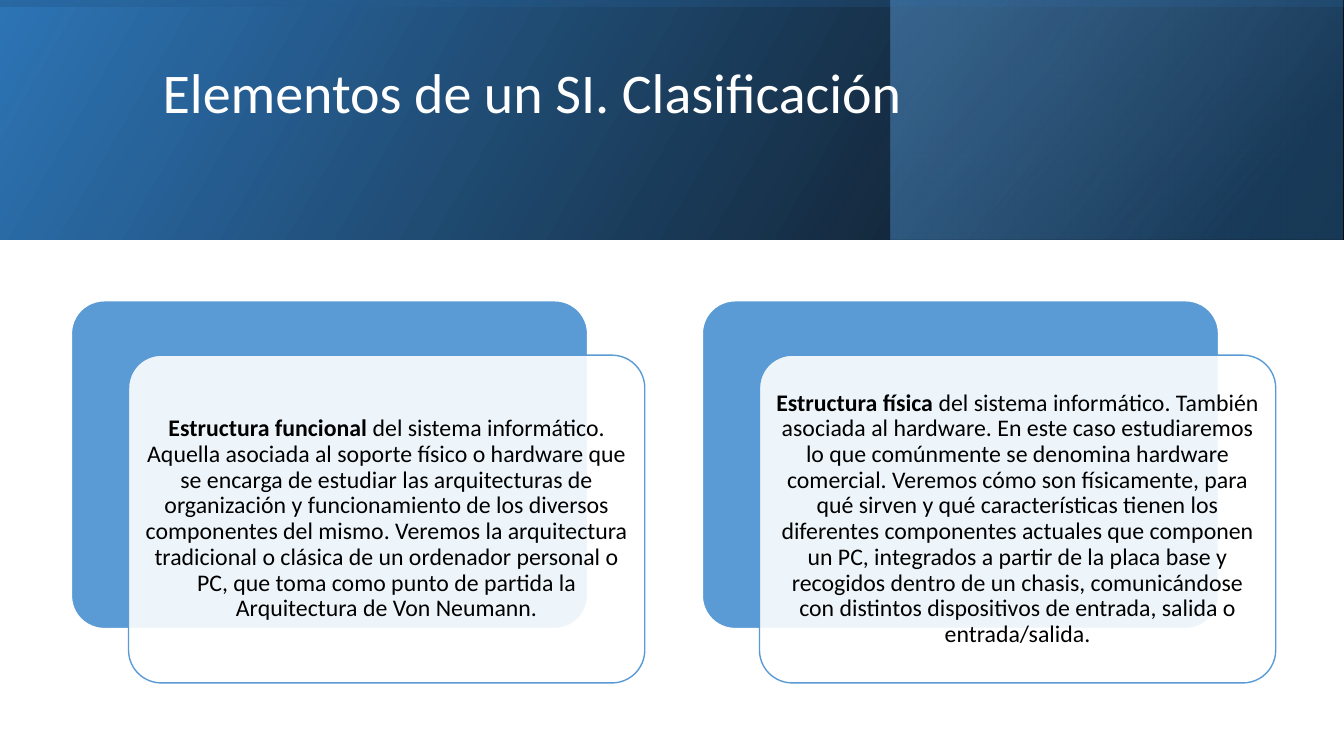
from pptx import Presentation
from pptx.dml.color import RGBColor
from pptx.enum import shapes, text
from pptx.oxml import parse_xml
from pptx.oxml.ns import nsdecls, qn
from pptx.util import Cm, Pt

SLIDE_W, SLIDE_H = 33.87, 19.05
BANNER_H = 6.04
CARD_W, CARD_H = 13.01, 8.26
CARD_LEFT, CARD_TOP, CARD_STEP = 1.8, 7.58, 15.9
FRONT_DX, FRONT_DY = 1.44, 1.37
TEXT_MARGIN = 0.24
BLUE, WHITE, BLACK = "5B9BD5", "FFFFFF", "000000"

CARDS = [
    ("Estructura funcional ",
     "del sistema informático. Aquella asociada al soporte físico o hardware "
     "que se encarga de estudiar las arquitecturas de organización y "
     "funcionamiento de los diversos componentes del mismo. Veremos la "
     "arquitectura tradicional o clásica de un ordenador personal o PC, que "
     "toma como punto de partida la Arquitectura de Von Neumann."),
    ("Estructura física ",
     "del sistema informático. También asociada al hardware. En este caso "
     "estudiaremos lo que comúnmente se denomina hardware comercial. Veremos "
     "cómo son físicamente, para qué sirven y qué características tienen los "
     "diferentes componentes actuales que componen un PC, integrados a partir "
     "de la placa base y recogidos dentro de un chasis, comunicándose con "
     "distintos dispositivos de entrada, salida o entrada/salida."),
]


def rgb(value):
    return RGBColor.from_string(value)


def add_gradient_band(s, x, y, w, h, stops, angle, rotation=0):
    """Add a mirrored rectangle; stops are (position %, colour, opacity %)."""
    sp = s.shapes.add_shape(shapes.MSO_SHAPE.RECTANGLE, Cm(x), Cm(y), Cm(w), Cm(h))
    sp.shadow.inherit = False
    sp.line.fill.background()
    sp.rotation = rotation
    stop_xml = "".join(
        f'<a:gs pos="{pos * 1000}"><a:srgbClr val="{color}">'
        f'<a:alpha val="{opacity * 1000}"/></a:srgbClr></a:gs>'
        for pos, color, opacity in stops)
    grad = parse_xml(
        f'<a:gradFill {nsdecls("a")} rotWithShape="1"><a:gsLst>{stop_xml}</a:gsLst>'
        f'<a:lin ang="{angle * 60000}" scaled="0"/></a:gradFill>')
    sp_pr = sp._element.spPr
    sp_pr.find(qn("a:xfrm")).set("flipH", "1")
    sp_pr.find(qn("a:prstGeom")).addnext(grad)


def add_panel(s, x, y, fill, line, opacity=100):
    sp = s.shapes.add_shape(shapes.MSO_SHAPE.ROUNDED_RECTANGLE,
                            Cm(x), Cm(y), Cm(CARD_W), Cm(CARD_H))
    sp.shadow.inherit = False
    sp.adjustments[0] = 0.1
    sp.fill.solid()
    sp.fill.fore_color.rgb = rgb(fill)
    sp.line.color.rgb = rgb(line)
    sp.line.width = Pt(1)
    if opacity < 100:
        color = sp._element.spPr.find(qn("a:solidFill"))[0]
        color.append(parse_xml(f'<a:alpha {nsdecls("a")} val="{opacity * 1000}"/>'))


def add_text(s, x, y, w, h, runs, size, color, align, margin=0.25):
    """Add one paragraph, centred vertically; runs are (text, bold)."""
    tf = s.shapes.add_textbox(Cm(x), Cm(y), Cm(w), Cm(h)).text_frame
    tf.word_wrap = True
    tf.vertical_anchor = text.MSO_ANCHOR.MIDDLE
    tf.margin_left = tf.margin_right = Cm(margin)
    tf.margin_top = tf.margin_bottom = Cm(margin)
    p = tf.paragraphs[0]
    p.alignment = align
    p.line_spacing = 0.9
    p.font.name = "Calibri"
    p.font.size = Pt(size)
    p.font.color.rgb = rgb(color)
    for content, bold in runs:
        r = p.add_run()
        r.text = content
        r.font.bold = bold


def add_card(s, x, heading, body):
    add_panel(s, x, CARD_TOP, BLUE, WHITE)
    front_x, front_y = x + FRONT_DX, CARD_TOP + FRONT_DY
    add_panel(s, front_x, front_y, WHITE, BLUE, opacity=90)
    add_text(s, front_x + TEXT_MARGIN, front_y + TEXT_MARGIN,
             CARD_W - 2 * TEXT_MARGIN, CARD_H - 2 * TEXT_MARGIN,
             [(heading, True), (body, False)], 17, BLACK,
             text.PP_ALIGN.CENTER, margin=0.14)


def add_banner(s):
    add_gradient_band(s, 0, 0, SLIDE_W, BANNER_H,
                      [(0, BLACK, 96), (100, "2E75B6", 100)], 330)
    add_gradient_band(s, 22.44, 0, 11.4, BANNER_H,
                      [(19, "1F4E79", 68), (100, BLUE, 48)], 320)
    turned = (SLIDE_W - BANNER_H) / 2
    add_gradient_band(s, turned, -turned, BANNER_H, SLIDE_W,
                      [(23, "2E75B6", 16), (99, BLACK, 45)], 350, rotation=270)
    add_text(s, 3.85, 0.99, 27.0, 2.84,
             [("Elementos de un SI. Clasificación", False)], 40, WHITE,
             text.PP_ALIGN.LEFT)


def main():
    prs = Presentation()
    prs.slide_width, prs.slide_height = Cm(SLIDE_W), Cm(SLIDE_H)
    s = prs.slides.add_slide(prs.slide_layouts[6])
    add_banner(s)
    for i, (heading, body) in enumerate(CARDS):
        add_card(s, CARD_LEFT + i * CARD_STEP, heading, body)
    prs.save("out.pptx")


if __name__ == "__main__":
    main()
